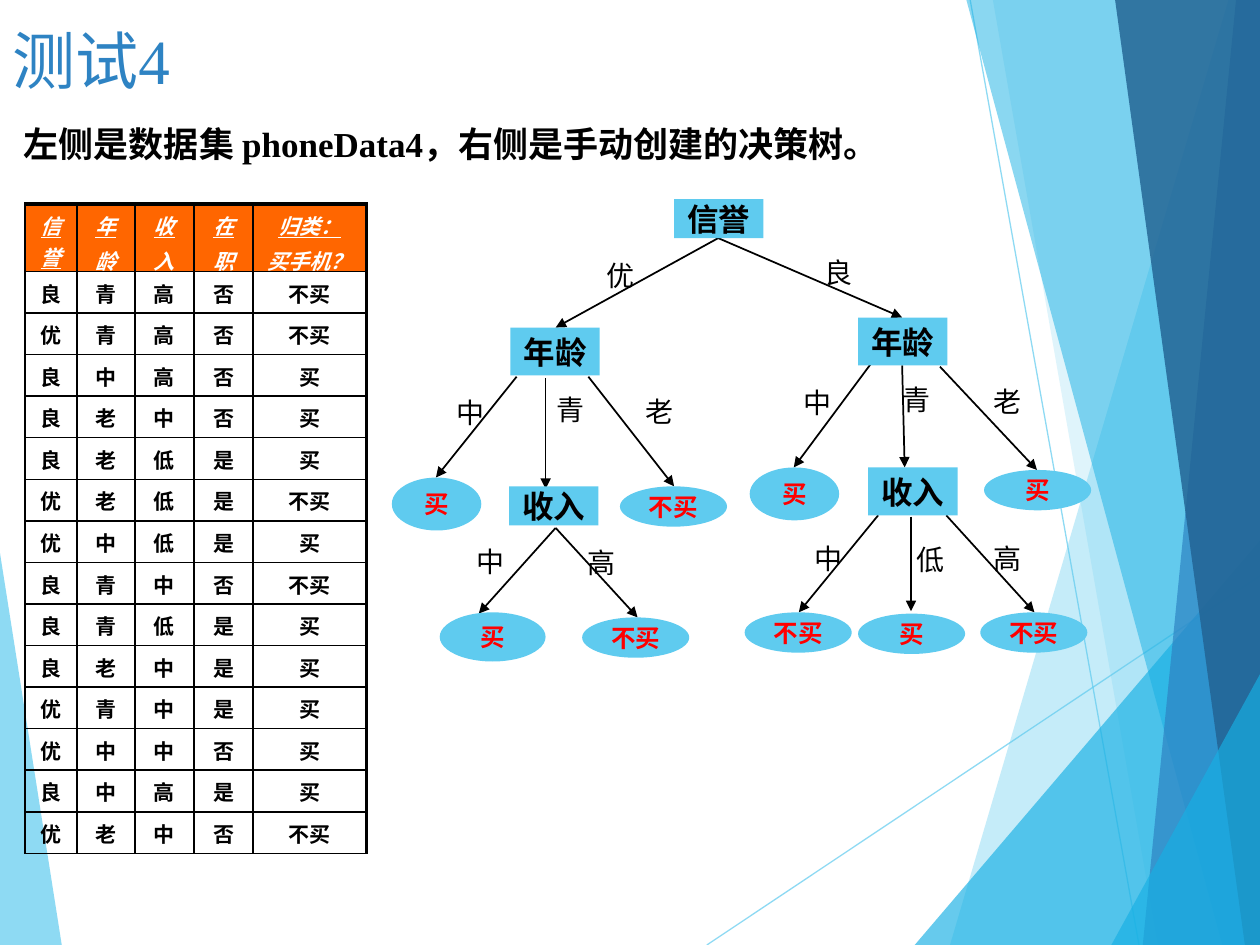
from lxml import etree
from pptx import Presentation
from pptx import util as u
from pptx.dml.color import RGBColor
from pptx.enum import shapes, text
from pptx.oxml.ns import qn

# The slide is a grid of 100 columns by 75 rows of square cells
COLUMNS, ROWS = 100, 75
CELL = u.Inches(0.1)
COLORS = {"sky": "5FCBEF", "cyan": "17B0E4", "blue": "2E83C3", "navy": "226292",
          "orange": "FF6600", "black": "000000", "white": "FFFFFF", "red": "FF0000"}
SERIF, NODE_FONT, BODY_FONT = "Times New Roman", "Lato", "Arial"


def cells(*values):
    return [round(value * CELL) for value in values]


def color(name):
    return RGBColor.from_string(COLORS[name])


def set_alpha(color_parent, percent):
    choice = color_parent.find(".//" + qn("a:srgbClr"))
    etree.SubElement(choice, qn("a:alpha"), val=str(percent * 1000))


def set_font(paragraph, name, size, color_name, bold=False):
    font = paragraph.font
    font.name, font.size, font.bold = name, u.Pt(size), bold
    font.color.rgb = color(color_name)


def add_text(slide, box, words, size, color_name="black", bold=False, centred=False):
    frame = slide.shapes.add_textbox(*cells(*box)).text_frame
    frame.word_wrap = True
    paragraph = frame.paragraphs[0]
    paragraph.text = words
    paragraph.alignment = text.PP_ALIGN.CENTER if centred else text.PP_ALIGN.LEFT
    set_font(paragraph, SERIF, size, color_name, bold)
    return paragraph


def add_line(slide, start, end, color_name, width, alpha=100, arrow=False):
    line = slide.shapes.add_connector(
        shapes.MSO_CONNECTOR.STRAIGHT, *cells(*start, *end))
    line.line.color.rgb = color(color_name)
    line.line.width = u.Pt(width)
    properties = line._element.spPr
    outline = properties.find(qn("a:ln"))
    if alpha < 100:
        set_alpha(outline, alpha)
    if arrow:
        etree.SubElement(outline, qn("a:tailEnd"), type="triangle")
    etree.SubElement(properties, qn("a:effectLst"))


def add_facet(slide, points, color_name, alpha):
    first, *rest = [cells(*point) for point in points]
    builder = slide.shapes.build_freeform(*first)
    builder.add_line_segments(rest, close=True)
    facet = builder.convert_to_shape()
    facet.shadow.inherit = False
    facet.fill.solid()
    facet.fill.fore_color.rgb = color(color_name)
    set_alpha(facet._element.spPr, alpha)
    facet.line.fill.background()


def add_backdrop(slide, box):
    left, top, width, height = box
    right, bottom = left + width, top + height
    corner, top_corner = (right, bottom), (right, top)
    add_facet(slide, [(left, 43.9), (4.9, bottom), (left, bottom)], "sky", 70)
    add_line(slide, (56.1, bottom), (right, 45.7), "sky", 0.75, 70)
    add_line(slide, (77, top), (90.4, bottom), "sky", 0.75, 70)
    # Facets that fill the right edge: top x, bottom x, colour, opacity
    add_facet(slide, [(97.5, top), (75.4, bottom), corner, top_corner], "sky", 36)
    add_facet(slide, [(78.8, top), (91.9, bottom), corner, top_corner], "sky", 20)
    add_facet(slide, [(72.6, bottom), (right, 42.9), corner], "cyan", 66)
    for top_x, bottom_x, name, alpha in [(76.7, 97, "cyan", 50), (98.1, 90.7, "blue", 70),
                                         (88.5, 98.8, "navy", 82)]:
        add_facet(slide, [(top_x, top), (bottom_x, bottom), corner, top_corner], name, alpha)
    add_facet(slide, [(88.2, bottom), (right, 53.5), corner], "cyan", 66)


def set_border(cell, side, width):
    border = etree.SubElement(cell._tc.get_or_add_tcPr(), qn("a:ln" + side),
                              w=str(u.Pt(width)))
    fill = etree.SubElement(border, qn("a:solidFill"))
    etree.SubElement(fill, qn("a:srgbClr"), val=COLORS["black"])


def add_data_table(slide, box, header, records):
    column_widths = [4.1, 4.6, 4.7, 4.7, 9]
    rows = [header] + [record.split() for record in records]
    table = slide.shapes.add_table(len(rows), len(header), *cells(*box)).table
    table.first_row = table.horz_banding = False
    for column, width in zip(table.columns, cells(*column_widths)):
        column.width = width
    for r, row in enumerate(rows):
        is_header = r == 0
        table.rows[r].height = cells(4.8 if is_header else 3.3)[0]
        for c, words in enumerate(row):
            cell = table.cell(r, c)
            cell.text = words
            # Borders come before the fill in the cell properties
            set_border(cell, "L", 1)
            set_border(cell, "R", 2.25 if c == len(row) - 1 else 1)
            set_border(cell, "T", 2.25 if is_header else 1)
            set_border(cell, "B", 1)
            if is_header:
                cell.fill.solid()
                cell.fill.fore_color.rgb = color("orange")
            else:
                cell.fill.background()
            for p, paragraph in enumerate(cell.text_frame.paragraphs):
                paragraph.alignment = text.PP_ALIGN.CENTER
                if p:
                    paragraph.space_before = u.Pt(2.4)
                set_font(paragraph, SERIF if is_header else BODY_FONT, 12,
                         "white" if is_header else "black", bold=True)
                paragraph.font.italic = paragraph.font.underline = is_header


def add_node(slide, box, words, is_leaf):
    kind = shapes.MSO_SHAPE.OVAL if is_leaf else shapes.MSO_SHAPE.RECTANGLE
    node = slide.shapes.add_shape(kind, *cells(*box))
    node.shadow.inherit = False
    node.fill.solid()
    node.fill.fore_color.rgb = color("sky")
    node.line.fill.background()
    frame = node.text_frame
    frame.word_wrap = False
    frame.margin_left = frame.margin_right = frame.margin_top = frame.margin_bottom = 0
    frame.vertical_anchor = text.MSO_ANCHOR.MIDDLE
    paragraph = frame.paragraphs[0]
    paragraph.text = words
    paragraph.alignment = text.PP_ALIGN.CENTER
    set_font(paragraph, NODE_FONT, 14 if is_leaf else 18,
             "red" if is_leaf else "black", bold=True)


def add_branch(slide, origin, edges, questions, leaves):
    """Places arrows, their labels and the nodes relative to the origin."""
    left, top = origin
    for x1, y1, x2, y2, words, label_x, label_y in edges:
        add_line(slide, (left + x1, top + y1), (left + x2, top + y2), "black", 1, arrow=True)
        add_text(slide, (left + label_x, top + label_y, 6.3, 3.7), words, 16, centred=True)
    for nodes, is_leaf in [(questions, False), (leaves, True)]:
        for words, x, y, width, height in nodes:
            add_node(slide, (left + x, top + y, width, height), words, is_leaf)


def add_decision_tree(slide, box):
    left, top = box[:2]
    tall, flat = (7.1, 3.8), (7.1, 3.1)
    small, wide, large = (7.1, 4.2), (8.5, 3.2), (8.4, 3.9)
    # Root
    add_branch(slide, (left + 10, top),
               [(16, 3.9, 3.1, 11, "优", 5.1, 5), (16, 3.9, 30.6, 10.2, "良", 22.4, 4.8)],
               [("信誉", 12.5, 0.8, *flat)], [])
    # Left branch
    add_branch(slide, (left, top + 11),
               [(10, 3.9, 3.6, 11.9, "中", 3.2, 4.9), (12.3, 4, 12.3, 12.8, "青", 11.1, 4.7),
                (15.7, 3.9, 22.5, 12.6, "老", 18.2, 4.8),
                (13.1, 15.9, 7, 22.7, "中", 4.8, 16.7), (13.1, 15.9, 19.6, 23, "高", 13.6, 16.8)],
               [("年龄", 9.5, 0, *tall), ("收入", 9.4, 12.6, *flat)],
               [("买", 0.1, 11.9, *small), ("不买", 18.2, 12.6, *wide),
                ("买", 3.9, 22.6, *large), ("不买", 15.2, 23, *wide)])
    # Right branch
    add_branch(slide, (left + 28, top + 10),
               [(10.1, 3.9, 4, 12.1, "中", 2.7, 5.1), (12.6, 4, 12.8, 12.1, "青", 10.6, 4.9),
                (15.6, 4.1, 23.3, 12.3, "老", 17.8, 5),
                (10.7, 15.9, 4.4, 23.6, "中", 3.6, 17.5), (13.3, 16, 13.3, 23.5, "低", 11.7, 17.6),
                (16.1, 15.9, 23.1, 23.6, "高", 17.8, 17.5)],
               [("年龄", 9.1, 0.2, *tall), ("收入", 9.9, 12.1, *tall)],
               [("买", 0.5, 12.1, *small), ("买", 19.1, 12.3, *wide), ("不买", 0.1, 23.6, *wide),
                ("买", 9.1, 23.7, *wide), ("不买", 18.8, 23.6, *wide)])


def main():
    presentation = Presentation()
    presentation.slide_width, presentation.slide_height = cells(COLUMNS, ROWS)
    slide = presentation.slides.add_slide(presentation.slide_layouts[6])
    add_backdrop(slide, (0, 0, COLUMNS, ROWS))
    title = add_text(slide, (0, 1.9, 86, 5.3), "测试4", 36, "blue")
    title.line_spacing = 0.9
    add_data_table(slide, (2, 16.2, 27.1, 51.4),
                   ["信誉", "年\n龄", "收\n入", "在\n职", "归类：\n买手机？"],
                   ["良 青 高 否 不买", "优 青 高 否 不买", "良 中 高 否 买", "良 老 中 否 买",
                    "良 老 低 是 买", "优 老 低 是 不买", "优 中 低 是 买", "良 青 中 否 不买",
                    "良 青 低 是 买", "良 老 中 是 买", "优 青 中 是 买", "优 中 中 否 买",
                    "良 中 高 是 买", "优 老 中 否 不买"])
    add_decision_tree(slide, (31, 15, 56, 38))
    add_text(slide, (0.9, 9.2, 72.8, 4.4),
             "左侧是数据集 phoneData4，右侧是手动创建的决策树。", 20, bold=True)
    presentation.save("out.pptx")


if __name__ == "__main__":
    main()
